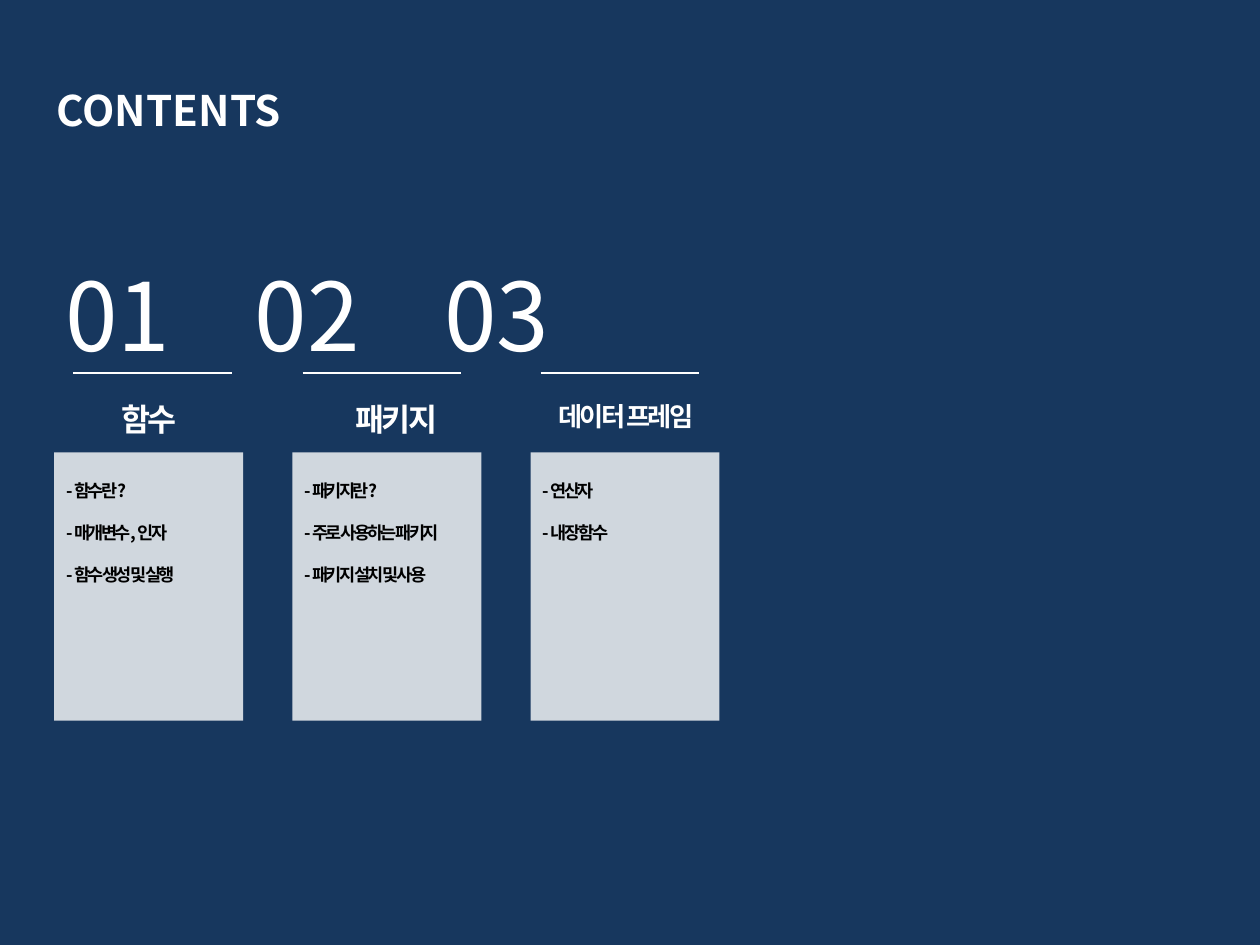
from collections import namedtuple
from dataclasses import dataclass

from lxml.etree import SubElement
from pptx import Presentation
from pptx.dml.color import RGBColor
from pptx.enum.shapes import MSO_CONNECTOR, MSO_SHAPE
from pptx.enum.text import MSO_ANCHOR, MSO_AUTO_SIZE, PP_ALIGN
from pptx.oxml.ns import qn
from pptx.util import Pt


@dataclass(frozen=True)
class Theme:
    navy: RGBColor = RGBColor(0x17, 0x37, 0x5E)
    white: RGBColor = RGBColor(0xFF, 0xFF, 0xFF)
    black: RGBColor = RGBColor(0, 0, 0)
    card_alpha: int = 80
    font: str = "Noto Sans CJK KR"
    heading_font: str = "Arial"
    title_size: float = 24
    number_size: float = 54
    heading_size: float = 18
    long_heading_size: float = 15
    item_size: float = 10
    item_pitch: float = 24
    line_ratio: float = 1.27
    tracking: float = -1.5


THEME = Theme()
Box = namedtuple("Box", "left top width height")
# Offsets are measured from the left edge of the topic's column.
Topic = namedtuple(
    "Topic", "heading size heading_offset heading_width rule_offset items")

TOPICS = [
    Topic("함수", THEME.heading_size, 0, 108, 10.8,
          ["- 함수란?", "- 매개변수, 인자", "- 함수 생성 및 실행"]),
    Topic("패키지", THEME.heading_size, -5.8, 130.3, 5.8,
          ["- 패키지란?", "- 주로 사용하는 패키지", "- 패키지 설치 및 사용"]),
    Topic("데이터 프레임", THEME.long_heading_size, -10.8, 130.3, 5.8,
          ["- 연산자", "- 내장 함수"]),
]
COLUMN_PITCH = 136.1
NUMBER_PITCH = 108.3


def place(shape, box):
    shape.left, shape.top, shape.width, shape.height = map(Pt, box)


def fill_text(shape, lines, size, color, bold=True, font=THEME.font,
              align=PP_ALIGN.LEFT, tracking=0, gap=0):
    frame = shape.text_frame
    frame.word_wrap = True
    frame.auto_size = MSO_AUTO_SIZE.NONE
    frame.vertical_anchor = MSO_ANCHOR.TOP
    frame.text = "\n".join(lines)
    for index, paragraph in enumerate(frame.paragraphs):
        paragraph.alignment = align
        paragraph.line_spacing = Pt(size * THEME.line_ratio)
        paragraph.space_before = Pt(gap if index else 0)
        for run in paragraph.runs:
            run.font.size = Pt(size)
            run.font.bold = bold
            run.font.name = font
            run.font.color.rgb = color
            properties = run.font._element
            SubElement(properties, qn("a:ea"), typeface=THEME.font)
            if tracking:
                properties.set("spc", str(int(tracking * 100)))


def add_text(slide, box, lines, size, color, **style):
    shape = slide.shapes.add_textbox(*map(Pt, box))
    fill_text(shape, lines, size, color, **style)
    return shape


def add_title(slide, box):
    title = slide.shapes.title
    place(title, box)
    fill_text(title, ["CONTENTS"], THEME.title_size, THEME.white)


def add_numbers(slide, box):
    """Set all topic numbers on one line, spaced by tab stops."""
    numbers = [f"{n:02}" for n in range(1, len(TOPICS) + 1)]
    shape = add_text(slide, box, ["\t".join(numbers)], THEME.number_size,
                     THEME.white, bold=False)
    properties = shape.text_frame.paragraphs[0]._p.get_or_add_pPr()
    stops = SubElement(properties, qn("a:tabLst"))
    for n in range(1, len(numbers)):
        SubElement(stops, qn("a:tab"), pos=str(Pt(n * NUMBER_PITCH)), algn="l")


def add_rule(slide, left, top, length):
    rule = slide.shapes.add_connector(
        MSO_CONNECTOR.STRAIGHT, Pt(left), Pt(top), Pt(left + length), Pt(top))
    rule.line.color.rgb = THEME.white
    rule.line.width = Pt(0.75)
    SubElement(rule._element.spPr, qn("a:effectLst"))


def add_card(slide, box):
    card = slide.shapes.add_shape(MSO_SHAPE.RECTANGLE, *map(Pt, box))
    card.shadow.inherit = False
    card.line.fill.background()
    card.fill.solid()
    card.fill.fore_color.rgb = THEME.white
    color = card._element.spPr.find(qn("a:solidFill")).find(qn("a:srgbClr"))
    SubElement(color, qn("a:alpha"), val=str(THEME.card_alpha * 1000))


def add_topic(slide, box, topic):
    """Stack the rule, heading and card of a topic inside its column."""
    add_rule(slide, box.left + topic.rule_offset, box.top, 90.7)
    add_text(slide, Box(box.left + topic.heading_offset, box.top + 10.8,
                        topic.heading_width, 29),
             [topic.heading], topic.size, THEME.white,
             font=THEME.heading_font, align=PP_ALIGN.CENTER,
             tracking=THEME.tracking)
    card_top = 45.4
    add_card(slide, Box(box.left, box.top + card_top,
                        box.width, box.height - card_top))
    add_text(slide, Box(box.left, box.top + 56.9, box.width,
                        THEME.item_pitch * len(topic.items) - 4.3),
             topic.items, THEME.item_size, THEME.black,
             tracking=THEME.tracking,
             gap=THEME.item_pitch - THEME.item_size * THEME.line_ratio)


def main():
    presentation = Presentation()
    presentation.slide_width, presentation.slide_height = Pt(720), Pt(540)
    slide = presentation.slides.add_slide(presentation.slide_layouts[5])
    slide.background.fill.solid()
    slide.background.fill.fore_color.rgb = THEME.navy
    add_title(slide, Box(25.2, 43.2, 329, 36))
    add_numbers(slide, Box(30.2, 139.7, 668.9, 72.7))
    for column, topic in enumerate(TOPICS):
        add_topic(slide, Box(31 + column * COLUMN_PITCH, 213.1, 108, 198.8),
                  topic)
    presentation.save("out.pptx")


if __name__ == "__main__":
    main()
